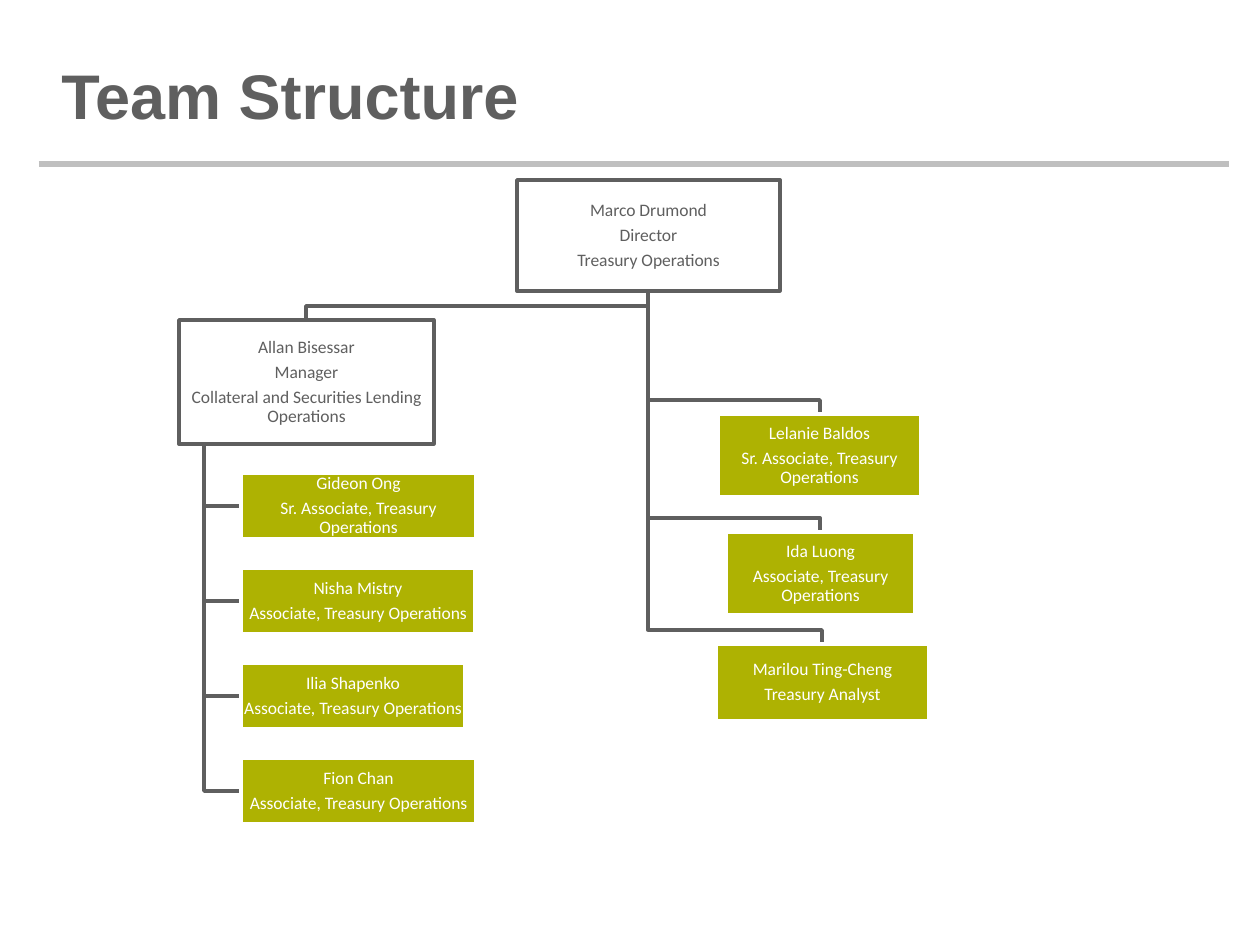
from lxml.etree import SubElement
from pptx import Presentation
from pptx.dml.color import RGBColor
from pptx.enum.shapes import MSO_CONNECTOR as Connector, MSO_SHAPE as Shape
from pptx.enum.text import MSO_ANCHOR as Anchor, PP_ALIGN as Align
from pptx.oxml.ns import qn
from pptx.util import Pt

PX = 914400 / 126
GREY, RULE, GREEN, WHITE = "5F5F5F", "BFBFBF", "AEB202", "FFFFFF"


def emu(*lengths):
    return [round(length * PX) for length in lengths]


def color(hex_text):
    return RGBColor.from_string(hex_text)


deck = Presentation()
deck.slide_width, deck.slide_height = emu(1260, 945)
page = deck.slides.add_slide(deck.slide_layouts[6])

# Heading and rule
rule = page.shapes.add_connector(Connector.STRAIGHT, *emu(39, 164, 1229, 164))
rule.line.color.rgb = color(RULE)
rule.line.width = Pt(3)
SubElement(rule._element.spPr, qn("a:effectLst"))

title = page.shapes.add_textbox(*emu(49, 15, 1211, 158))
title.text_frame.word_wrap = True
title.text_frame.vertical_anchor = Anchor.MIDDLE
span = title.text_frame.paragraphs[0].add_run()
span.text = "Team Structure"
for name, value in {"name": "Arial", "size": Pt(36), "bold": True}.items():
    setattr(span.font, name, value)
span.font.color.rgb = color(GREY)

# People: left, top, width, height, lines of text
director = (517, 180, 263, 111,
            ["Marco Drumond", "Director", "Treasury Operations"])
manager = (179, 320, 255, 124,
           ["Allan Bisessar", "Manager",
            "Collateral and Securities Lending Operations"])
manager_team = [
    (241, 473 + 95 * row, width, 66, [person, role])
    for row, (width, person, role) in enumerate([
        (235, "Gideon Ong", "Sr. Associate, Treasury Operations"),
        (234, "Nisha Mistry", "Associate, Treasury Operations"),
        (224, "Ilia Shapenko", "Associate, Treasury Operations"),
        (235, "Fion Chan", "Associate, Treasury Operations"),
    ])
]
director_team = [
    (718, 414, 203, 83,
     ["Lelanie Baldos", "Sr. Associate, Treasury Operations"]),
    (726, 532, 189, 83, ["Ida Luong", "Associate, Treasury Operations"]),
    (716, 644, 213, 77, ["Marilou Ting-Cheng", "Treasury Analyst"]),
]

# Branches: from the director down to a box top, from the manager to a box side
trunk, trunk_top = director[0] + director[2] / 2, director[1] + director[3]
branches = []
for left, top, width, height, lines in director_team + [manager]:
    middle, bend = left + width / 2, top - 14
    branches.append([(trunk, trunk_top), (trunk, bend), (middle, bend), (middle, top)])
stem, stem_top = manager[0] + manager[2] / 10, manager[1] + manager[3]
for left, top, width, height, lines in manager_team:
    middle = top + height / 2
    branches.append([(stem, stem_top), (stem, middle), (left, middle)])

for start, *bends in branches:
    builder = page.shapes.build_freeform(*start, scale=PX)
    builder.add_line_segments(bends, close=False)
    branch = builder.convert_to_shape()
    branch.shadow.inherit = False
    branch.fill.background()
    branch.line.color.rgb = color(GREY)
    branch.line.width = Pt(2)

# Boxes
for person in [director, manager] + manager_team + director_team:
    *bounds, lines = person
    leads = person in (director, manager)
    box = page.shapes.add_shape(Shape.RECTANGLE, *emu(*bounds))
    box.shadow.inherit = False
    if leads:
        box.fill.background()
    else:
        box.fill.solid()
        box.fill.fore_color.rgb = color(GREEN)
    box.line.color.rgb = color(GREY if leads else WHITE)
    box.line.width = Pt(2)
    frame = box.text_frame
    frame.word_wrap = True
    frame.vertical_anchor = Anchor.MIDDLE
    for side in ("left", "top", "right", "bottom"):
        setattr(frame, f"margin_{side}", emu(1)[0])
    for number, line in enumerate(lines):
        para = frame.add_paragraph() if number else frame.paragraphs[0]
        layout = {"alignment": Align.CENTER, "line_spacing": 0.9, "space_after": Pt(3.5)}
        for name, value in layout.items():
            setattr(para, name, value)
        span = para.add_run()
        span.text = line
        span.font.name = "Calibri"
        span.font.size = Pt(10)
        span.font.color.rgb = color(GREY if leads else WHITE)

deck.save("out.pptx")
